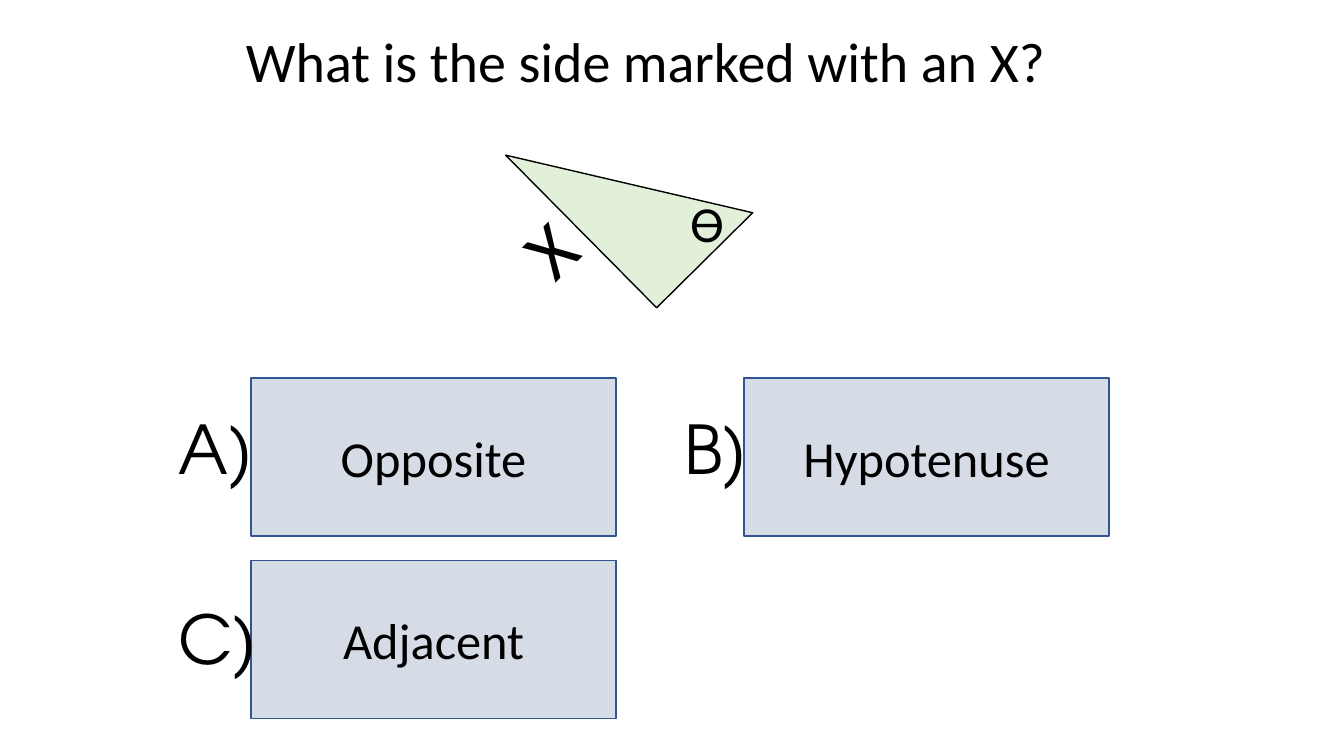
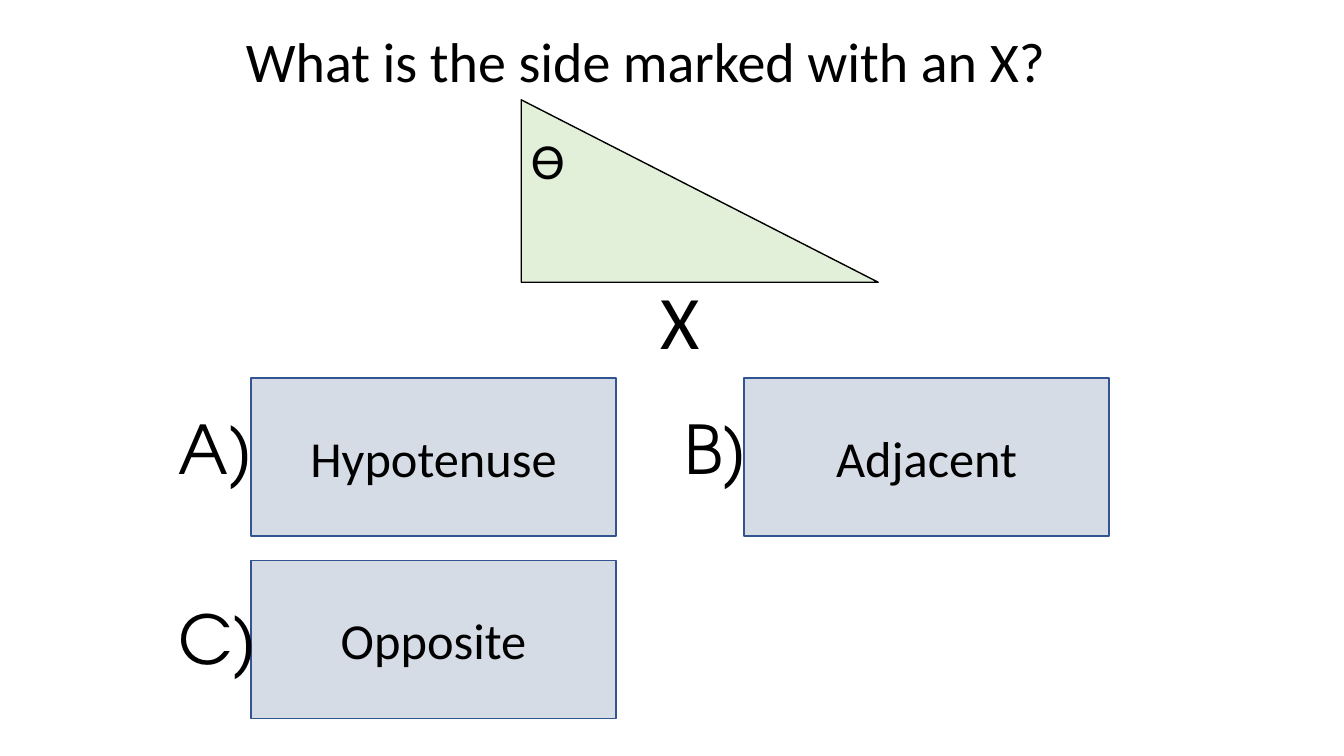
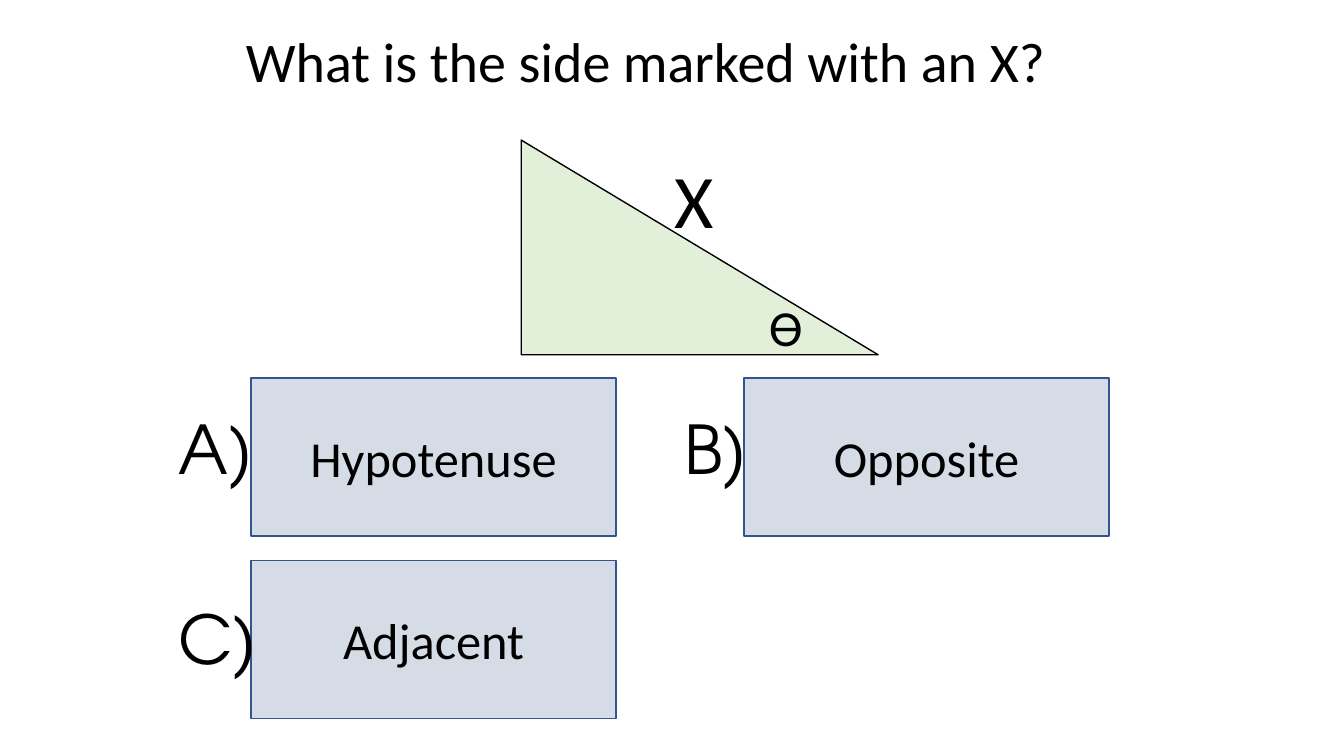
"""Build three quiz slides on naming the sides of a right-angled triangle."""
from dataclasses import dataclass

import pptx
import pptx.dml.color
import pptx.enum.shapes
import pptx.enum.text
import pptx.util

Inches = pptx.util.Inches
RGBColor = pptx.dml.color.RGBColor
MSO_SHAPE = pptx.enum.shapes.MSO_SHAPE
PP_ALIGN = pptx.enum.text.PP_ALIGN
MSO_ANCHOR = pptx.enum.text.MSO_ANCHOR
MSO_AUTO_SIZE = pptx.enum.text.MSO_AUTO_SIZE

BLACK = RGBColor(0x00, 0x00, 0x00)
ANSWER_FILL = RGBColor(0xD6, 0xDC, 0xE5)
ANSWER_LINE = RGBColor(0x32, 0x54, 0x91)
TRIANGLE_FILL = RGBColor(0xE2, 0xF0, 0xD9)

BODY_FONT = "Calibri"
LETTER_FONT = "TeX Gyre Adventor"
QUESTION = "What is the side marked with an X?"
ANSWER_SIZE = (3.62, 1.57)


@dataclass(frozen=True)
class Box:
    left: float
    top: float
    width: float
    height: float
    rotation: float = 0


@dataclass(frozen=True)
class Option:
    letter: str
    letter_box: Box
    answer_box: Box


@dataclass(frozen=True)
class Question:
    answers: tuple[str, str, str]
    triangle: Box
    theta: tuple[float, float]
    x_mark: tuple[float, float]
    x_rotation: float = 0


OPTIONS = (
    Option("A)", Box(1.67, 3.99, 0.95, 0.91), Box(2.49, 3.75, *ANSWER_SIZE)),
    Option("B)", Box(6.69, 3.99, 0.84, 0.91), Box(7.38, 3.75, *ANSWER_SIZE)),
    Option("C)", Box(1.67, 5.88, 1, 0.91), Box(2.49, 5.56, *ANSWER_SIZE)),
)

QUESTIONS = (
    Question(("Opposite", "Hypotenuse", "Adjacent"),
             Box(5.57, 0.76, 1.34, 2.13, 315.3), (6.75, 1.86), (5.14, 1.94), 315.7),
    Question(("Hypotenuse", "Adjacent", "Opposite"),
             Box(5.17, 0.99, 3.54, 1.81), (5.17, 1.23), (6.45, 2.67)),
    Question(("Hypotenuse", "Opposite", "Adjacent"),
             Box(5.17, 1.39, 3.54, 2.13), (7.53, 2.89), (6.59, 1.47)),
)


def place(box: Box) -> tuple:
    """Return the box's left, top, width and height as lengths."""
    return tuple(Inches(v) for v in (box.left, box.top, box.width, box.height))


def set_text(sp, text: str, *, size: float, font: str = BODY_FONT,
             align=PP_ALIGN.LEFT, anchor=MSO_ANCHOR.TOP, wrap: bool = True) -> None:
    """Write one formatted run into a shape."""
    tf = sp.text_frame
    tf.word_wrap = wrap
    tf.vertical_anchor = anchor
    p = tf.paragraphs[0]
    p.alignment = align
    r = p.add_run()
    r.text = text
    r.font.size = pptx.util.Pt(size)
    r.font.name = font
    r.font.color.rgb = BLACK


def add_label(s, text: str, box: Box, *, wrap: bool = False, **text_format) -> None:
    """Add a text box that grows with its text."""
    sp = s.shapes.add_textbox(*place(box))
    sp.rotation = box.rotation
    set_text(sp, text, wrap=wrap, **text_format)
    sp.text_frame.auto_size = MSO_AUTO_SIZE.SHAPE_TO_FIT_TEXT


def add_figure(s, kind, box: Box, fill: RGBColor, line: RGBColor):
    """Add a filled and outlined preset shape."""
    sp = s.shapes.add_shape(kind, *place(box))
    sp.rotation = box.rotation
    sp.shadow.inherit = False
    sp.fill.solid()
    sp.fill.fore_color.rgb = fill
    sp.line.color.rgb = line
    sp.line.width = pptx.util.Pt(1)
    return sp


def add_question(prs, question: Question) -> None:
    """Add one quiz slide."""
    s = prs.slides.add_slide(prs.slide_layouts[6])
    for option, answer in zip(OPTIONS, question.answers):
        sp = add_figure(s, MSO_SHAPE.RECTANGLE, option.answer_box, ANSWER_FILL, ANSWER_LINE)
        set_text(sp, answer, size=36, align=PP_ALIGN.CENTER, anchor=MSO_ANCHOR.MIDDLE)
    for option in OPTIONS:
        add_label(s, option.letter, option.letter_box, size=48, font=LETTER_FONT)
    add_figure(s, MSO_SHAPE.RIGHT_TRIANGLE, question.triangle, TRIANGLE_FILL, BLACK)
    add_label(s, "ϴ", Box(*question.theta, 0.54, 0.71), size=36)
    add_label(s, "X", Box(*question.x_mark, 0.66, 1.01, question.x_rotation), size=54)
    add_label(s, QUESTION, Box(2.34, 0.21, 8.58, 1.45), size=40, wrap=True)


def main() -> None:
    """Build and save the presentation."""
    prs = pptx.Presentation()
    prs.slide_width = Inches(13.33)
    prs.slide_height = Inches(7.5)
    for question in QUESTIONS:
        add_question(prs, question)
    prs.save("out.pptx")


if __name__ == "__main__":
    main()
